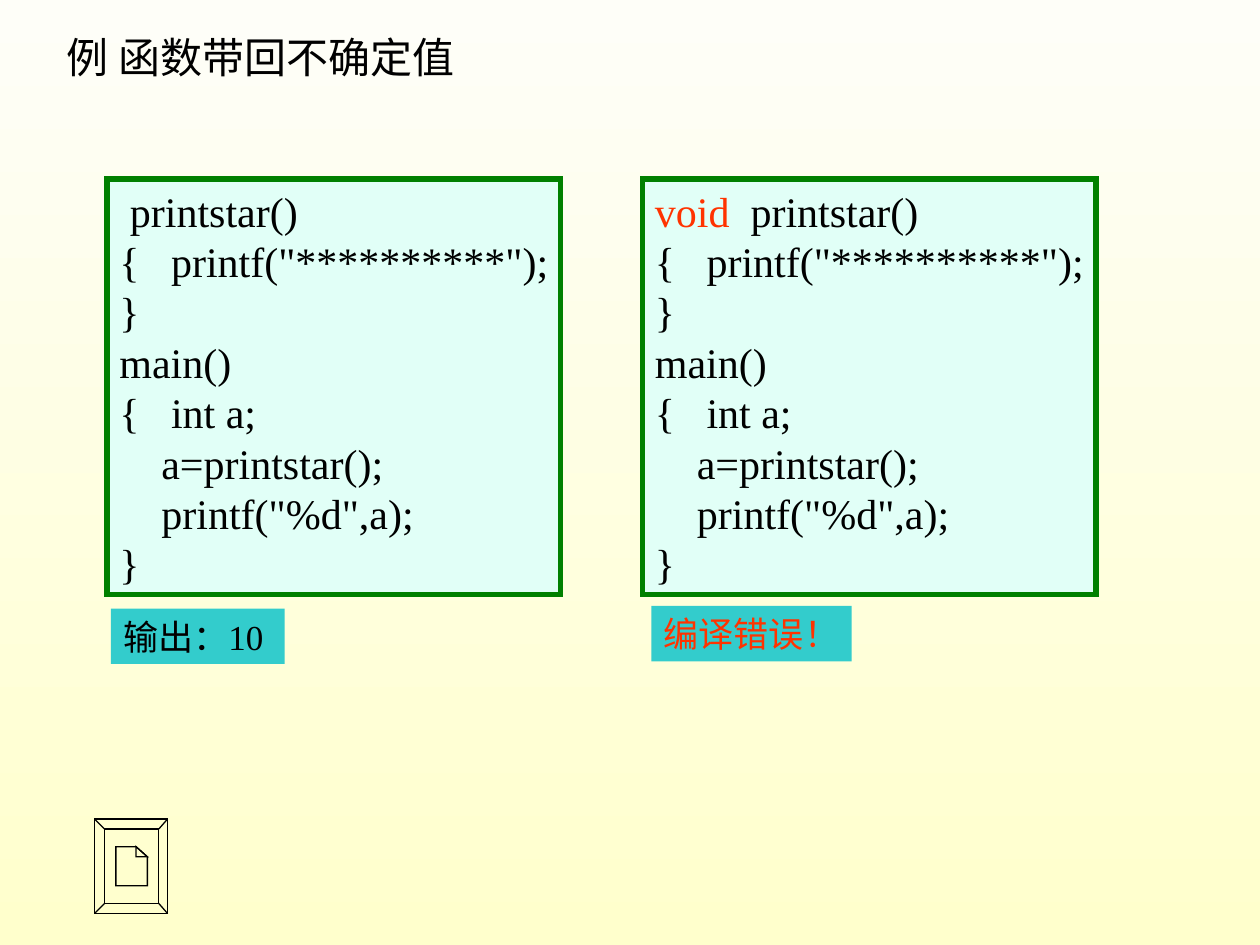
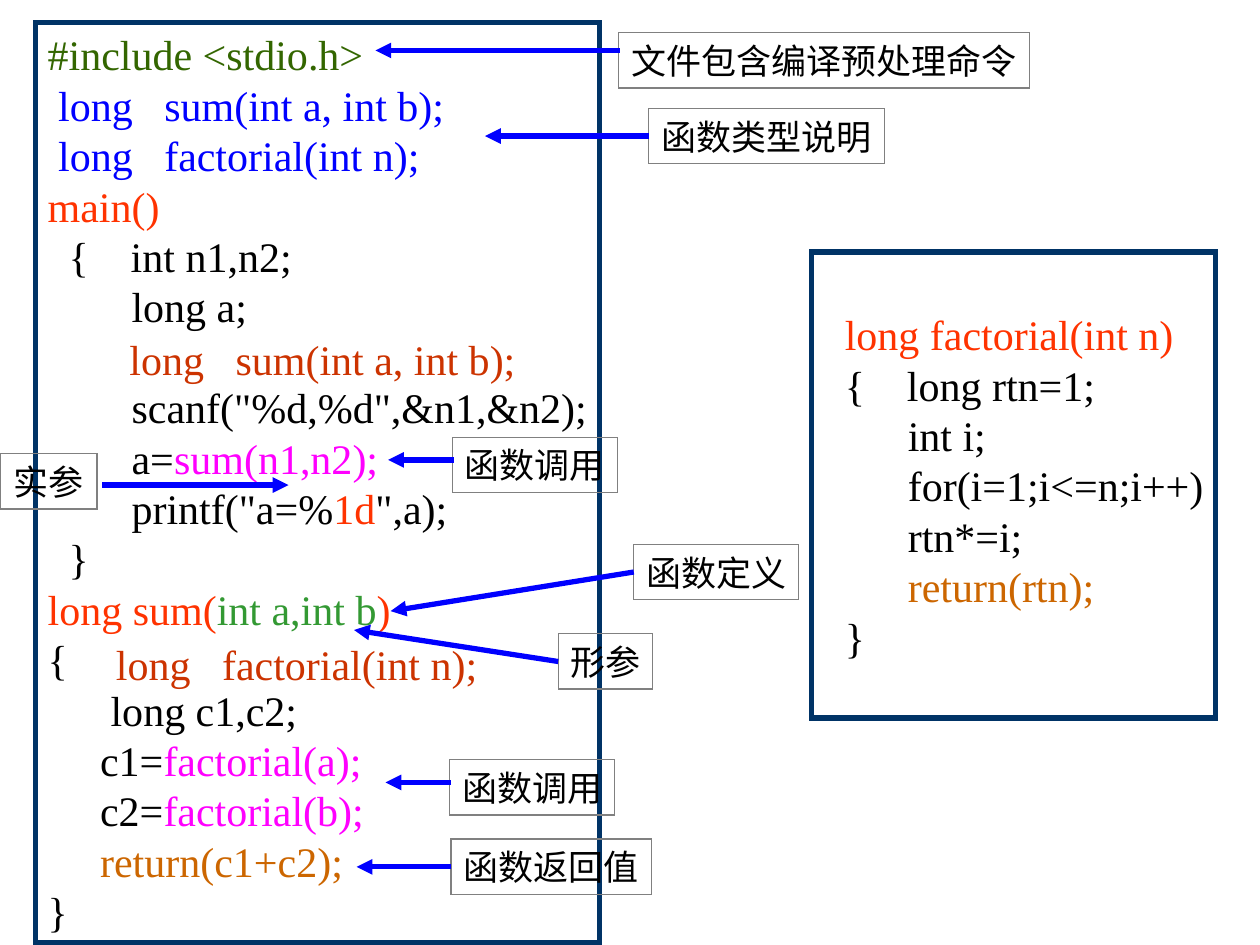
from lxml import etree
from pptx import Presentation
from pptx.dml.color import RGBColor
from pptx.enum.shapes import MSO_CONNECTOR as LineKind, MSO_SHAPE as Preset
from pptx.enum.text import MSO_ANCHOR as Anchor, MSO_AUTO_SIZE as AutoSize, PP_ALIGN as Align
from pptx.oxml.ns import qn
from pptx.util import Inches, Pt

FONT = "Times New Roman"
CODE_PITCH = 28.8
LABEL_HEIGHT = 0.44
COLORS = {
    "black": "000000", "red": "FF3300", "blue": "0000FF", "green": "336600",
    "param": "339933", "call": "FF00FF", "return": "CC6600", "declare": "CC3300",
    "mint": "E1FFF7", "mint_edge": "008000", "teal": "33CCCC", "navy": "003366",
    "grey": "808080", "fade_top": "FEFEF8", "fade_bottom": "FFFFCC",
}


def rgb(name):
    return RGBColor.from_string(COLORS[name])


def write_text(shape, lines, size=24, color="black", align=Align.LEFT,
               anchor=Anchor.MIDDLE, pitch=None, gap_before=None):
    frame = shape.text_frame
    frame.auto_size = AutoSize.NONE
    frame.word_wrap = True
    frame.vertical_anchor = anchor
    frame.margin_left = Inches(0.1 if align == Align.LEFT else 0)
    frame.margin_right = 0
    frame.margin_top = frame.margin_bottom = Inches(0.05)
    for index, line in enumerate(lines):
        para = frame.paragraphs[0] if index == 0 else frame.add_paragraph()
        para.alignment = align
        if pitch:
            para.line_spacing = Pt(pitch)
        if index == gap_before:
            para.space_before = Pt(pitch)
        spans = [(line, color)] if isinstance(line, str) else line
        for text, span_color in spans:
            span = para.add_run()
            span.text = text
            span.font.name = FONT
            span.font.size = Pt(size)
            span.font.color.rgb = rgb(span_color)


def draw_edge(shape, color, weight):
    shape.line.color.rgb = rgb(color)
    shape.line.width = Pt(weight)
    etree.SubElement(shape.line._get_or_add_ln(), qn("a:miter"), lim="800000")


def add_box(page, left, top, width, height, fill=None, edge=None, weight=3):
    box = page.shapes.add_shape(Preset.RECTANGLE, Inches(left), Inches(top),
                                Inches(width), Inches(height))
    box.shadow.inherit = False
    if fill:
        box.fill.solid()
        box.fill.fore_color.rgb = rgb(fill)
    else:
        box.fill.background()
    if edge:
        draw_edge(box, edge, weight)
    else:
        box.line.fill.background()
    return box


def add_code(page, lines, left, top, width, height, fill=None, edge="navy", **text_format):
    box = add_box(page, left, top, width, height, fill, edge)
    write_text(box, lines, pitch=CODE_PITCH, **text_format)


def add_declaration(page, text, left, top, width):
    box = page.shapes.add_textbox(Inches(left), Inches(top), Inches(width), Inches(0.5))
    write_text(box, [text], color="declare", align=Align.CENTER)


def add_result(page, text, left, top, width, color):
    box = add_box(page, left, top, width, LABEL_HEIGHT, fill="teal")
    write_text(box, [text], size=20, color=color)


def add_callout(page, text, left, top, width, start, tip):
    label = add_box(page, left, top, width, LABEL_HEIGHT, edge="grey", weight=0.75)
    write_text(label, [text], size=20, align=Align.CENTER)
    begin = start or (left, top + LABEL_HEIGHT / 2)
    arrow = page.shapes.add_connector(LineKind.STRAIGHT, *map(Inches, begin + tip))
    if start is None:
        arrow.begin_connect(label, 1)
    draw_edge(arrow, "blue", 3)
    etree.SubElement(arrow.line._get_or_add_ln(), qn("a:tailEnd"), type="triangle")
    etree.SubElement(arrow._element.spPr, qn("a:effectLst"))


def add_document_button(page):
    outer = [(75, 650), (133, 650), (133, 725), (75, 725)]
    inner = [(83, 658), (126, 658), (126, 717), (83, 717)]
    sheet = [(92, 672), (108, 672), (117, 680), (117, 703), (92, 703)]
    fold = [(108, 672), (108, 680), (117, 680)]
    builder = page.shapes.build_freeform(*outer[0], scale=Inches(0.01))
    builder.add_line_segments(outer[1:])
    for outline in (inner, sheet, fold):
        builder.move_to(*outline[0])
        builder.add_line_segments(outline[1:])
    for corner, inner_corner in zip(outer, inner):
        builder.move_to(*corner)
        builder.add_line_segments([inner_corner], close=False)
    button = builder.convert_to_shape()
    button.shadow.inherit = False
    button.fill.background()
    draw_edge(button, "black", 0.75)


def fade_background(page):
    fill = page.background.fill
    fill.gradient()
    fill.gradient_angle = 270
    for stop, name, position in zip(fill.gradient_stops, ("fade_top", "fade_bottom"), (0, 1)):
        stop.color.rgb = rgb(name)
        stop.position = position


def build_return_value_page(deck):
    page = deck.slides.add_slide(deck.slide_layouts[5])
    fade_background(page)
    title = page.shapes.title
    title.left, title.top, title.width, title.height = map(Inches, (0.43, 0.2, 3.8, 0.5))
    write_text(title, ["例 函数带回不确定值"])
    body = ['{   printf("**********");', "}", "main()", "{   int a;",
            "    a=printstar();", '    printf("%d",a);', "}"]
    headers = [" printstar()", [("void", "red"), ("  printstar()", "black")]]
    for left, header in zip((0.85, 5.1), headers):
        add_code(page, [header] + body, left, 1.42, 3.6, 3.3,
                 fill="mint", edge="mint_edge", anchor=Anchor.TOP)
    add_result(page, "输出：10", 0.88, 4.83, 1.38, "black")
    add_result(page, "编译错误！", 5.17, 4.81, 1.59, "red")
    add_document_button(page)


def build_function_parts_page(deck):
    page = deck.slides.add_slide(deck.slide_layouts[6])
    program = [
        [("#include <stdio.h>", "green")],
        [(" long   sum(int a, int b);", "blue")],
        [(" long   factorial(int n);", "blue")],
        [("main()", "red")],
        "  {    int n1,n2;",
        "        long a;",
        '        scanf("%d,%d",&n1,&n2);',
        [("        a=", "black"), ("sum(n1,n2);", "call")],
        [('        printf("a=%', "black"), ("1d", "red"), ('",a);', "black")],
        "  }",
        [("long sum(", "red"), ("int a,int b", "param"), (")", "red")],
        "{",
        "      long c1,c2;",
        [("     c1=", "black"), ("factorial(a);", "call")],
        [("     c2=", "black"), ("factorial(b);", "call")],
        [("     return(c1+c2);", "return")],
        "}",
    ]
    factorial = [
        [("  long factorial(int n)", "red")],
        "  {    long rtn=1;",
        "        int i;",
        "        for(i=1;i<=n;i++)",
        "        rtn*=i;",
        [("        return(rtn);", "return")],
        "  }",
    ]
    add_code(page, program, 0.28, 0.18, 4.48, 7.3, gap_before=6)
    add_code(page, factorial, 6.44, 2, 3.21, 3.7)
    add_declaration(page, "long   sum(int a, int b);", 0.93, 2.6, 3.26)
    add_declaration(page, "long   factorial(int n);", 0.82, 5.02, 3.07)
    callouts = [
        ("文件包含编译预处理命令", 4.91, 0.26, 3.26, (4.92, 0.4), (2.98, 0.4)),
        ("函数类型说明", 5.15, 0.86, 1.87, None, (3.85, 1.08)),
        ("函数定义", 5.03, 4.32, 1.31, None, (3.1, 4.85)),
        ("函数调用", 3.59, 3.47, 1.31, (3.6, 3.65), (3.08, 3.65)),
        ("函数调用", 3.57, 6.03, 1.31, (3.58, 6.21), (3.06, 6.21)),
        ("函数返回值", 3.58, 6.66, 1.59, None, (2.83, 6.88)),
        ("形参", 4.43, 5.03, 0.75, None, (2.81, 5)),
        ("实参", 0, 3.6, 0.77, (0.81, 3.85), (2.29, 3.85)),
    ]
    for callout in callouts:
        add_callout(page, *callout)


def main():
    deck = Presentation()
    deck.slide_width, deck.slide_height = Inches(10), Inches(7.5)
    build_return_value_page(deck)
    build_function_parts_page(deck)
    deck.save("out.pptx")


if __name__ == "__main__":
    main()
